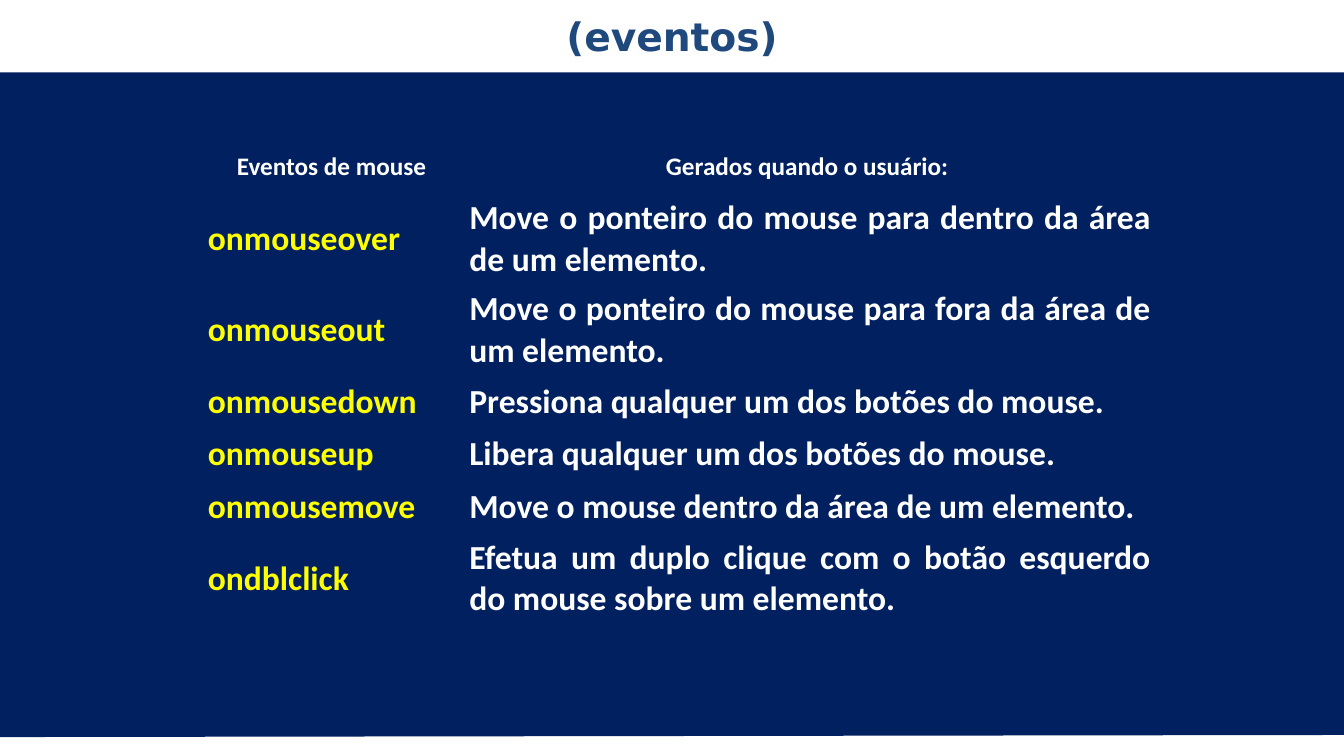
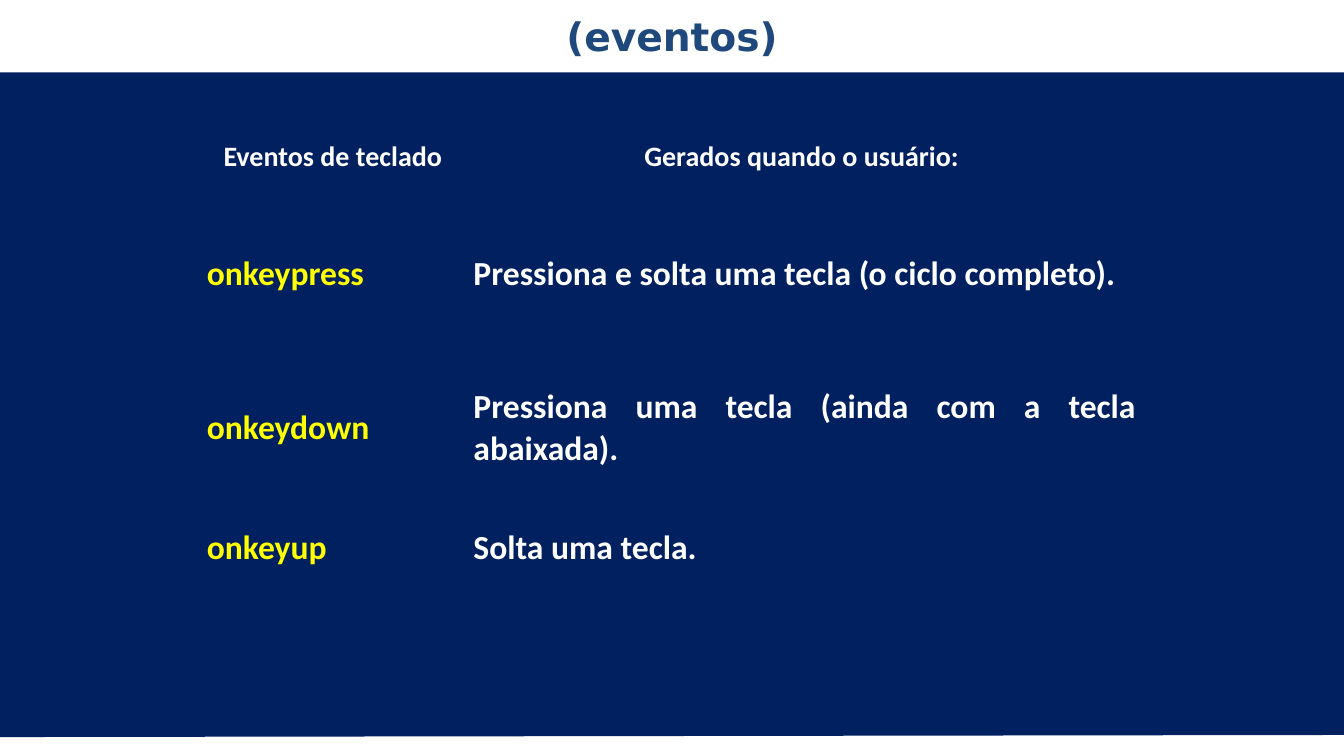
from dataclasses import dataclass
from itertools import product

from pptx import Presentation
from pptx.dml.color import RGBColor
from pptx.enum.shapes import MSO_SHAPE
from pptx.enum.text import MSO_ANCHOR, MSO_AUTO_SIZE, PP_ALIGN
from pptx.oxml.ns import qn
from pptx.util import Emu, Pt


@dataclass(frozen=True)
class Theme:
    navy: str = "002060"
    white: str = "FFFFFF"
    yellow: str = "FFFF00"
    blue: str = "1F497D"
    body: str = "Calibri"
    head: str = "DejaVu Sans"
    title: int = 28
    text: int = 24
    line: float = 1.01
    plain: str = "{2D5ABB26-0587-4C30-8999-92F81FD0307C}"


theme = Theme()
PX = 9525
WIDE, HIGH, BAND = 1280, 720, 69


def px(*nums):
    return [Emu(num * PX) for num in nums]


def write(frame, text, face, size, color, align):
    para = frame.paragraphs[0]
    para.alignment = align
    run = para.add_run()
    run.text = text
    look = {"name": face, "size": Pt(size), "bold": True}
    for key, value in look.items():
        setattr(run.font, key, value)
    run.font.color.rgb = RGBColor.from_string(color)
    return para


# Content: header size, table place, column widths, row heights, cell text
pages = [
    {
        "size": 18, "place": (194, 134),
        "cols": (249, 657), "rows": (50, 85, 85, 50, 50, 50, 85),
        "cells": [
            ("Eventos de mouse ", "Gerados quando o usuário: "),
            ("onmouseover", "Move o ponteiro do mouse para dentro da área de um elemento."),
            ("onmouseout", "Move o ponteiro do mouse para fora da área de um elemento."),
            ("onmousedown", "Pressiona qualquer um dos botões do mouse."),
            ("onmouseup", "Libera qualquer um dos botões do mouse."),
            ("onmousemove", "Move o mouse dentro da área de um elemento."),
            ("ondblclick", "Efetua um duplo clique com o botão esquerdo do mouse sobre um elemento."),
        ],
    },
    {
        "size": 20, "place": (193, 112),
        "cols": (254, 639), "rows": (75, 147, 147, 81),
        "cells": [
            ("Eventos de teclado ", "Gerados quando o usuário: "),
            ("onkeypress", "Pressiona e solta uma tecla (o ciclo completo)."),
            ("onkeydown", "Pressiona uma tecla (ainda com a tecla abaixada)."),
            ("onkeyup", "Solta uma tecla."),
        ],
    },
]

deck = Presentation()
deck.slide_width, deck.slide_height = px(WIDE, HIGH)
layout = deck.slide_layouts[5]

# Layout: navy ground and a title set in the top band
layout.background.fill.solid()
layout.background.fill.fore_color.rgb = RGBColor.from_string(theme.navy)
for holder in list(layout.placeholders):
    if holder.placeholder_format.idx:
        holder.element.getparent().remove(holder.element)
    else:
        holder.left, holder.top, holder.width, holder.height = px(160, 0, 960, BAND)

slides = [deck.slides.add_slide(layout) for page in pages]

# Layout: white bands and navy wedge, drawn once and moved behind the title
shapes = slides[0].shapes
parts = [
    (shapes.add_shape(MSO_SHAPE.RECTANGLE, *px(0, top, WIDE, BAND)), theme.white)
    for top in (0, HIGH - BAND)
]
wedge = shapes.build_freeform(0, 306, scale=PX)
wedge.add_line_segments([(WIDE, 518), (WIDE, 700), (0, 702)], close=True)
parts.append((wedge.convert_to_shape(), theme.navy))
for spot, (part, color) in enumerate(parts, 2):
    part.shadow.inherit = False
    part.fill.solid()
    part.fill.fore_color.rgb = RGBColor.from_string(color)
    part.line.fill.background()
    layout.shapes.element.insert(spot, part.element)

for slide, page in zip(slides, pages):
    # Title
    frame = slide.shapes.title.text_frame
    frame.auto_size = MSO_AUTO_SIZE.NONE
    frame.vertical_anchor = MSO_ANCHOR.MIDDLE
    write(frame, "(eventos)", theme.head, theme.title, theme.blue, PP_ALIGN.CENTER)

    # Table without style or grid
    cols, rows = page["cols"], page["rows"]
    box = px(*page["place"], sum(cols), sum(rows))
    graphic = slide.shapes.add_table(len(rows), len(cols), *box)
    graphic.element.find(".//" + qn("a:tableStyleId")).text = theme.plain
    table = graphic.table
    table.first_row = table.horz_banding = False
    for col, width in zip(table.columns, px(*cols)):
        col.width = width
    for row, height in zip(table.rows, px(*rows)):
        row.height = height

    # Cells: centred header, yellow event names, justified white text
    head = (page["size"], theme.white, PP_ALIGN.CENTER)
    name = (theme.text, theme.yellow, PP_ALIGN.LEFT)
    note = (theme.text, theme.white, PP_ALIGN.JUSTIFY)
    for r, c in product(range(len(rows)), range(len(cols))):
        cell = table.cell(r, c)
        cell.fill.background()
        cell.vertical_anchor = MSO_ANCHOR.MIDDLE
        for side in ("left", "right", "top", "bottom"):
            setattr(cell, f"margin_{side}", Emu(4 * PX))
        style = (name, note)[c] if r else head
        para = write(cell.text_frame, page["cells"][r][c], theme.body, *style)
        para.line_spacing = theme.line

deck.save("out.pptx")
